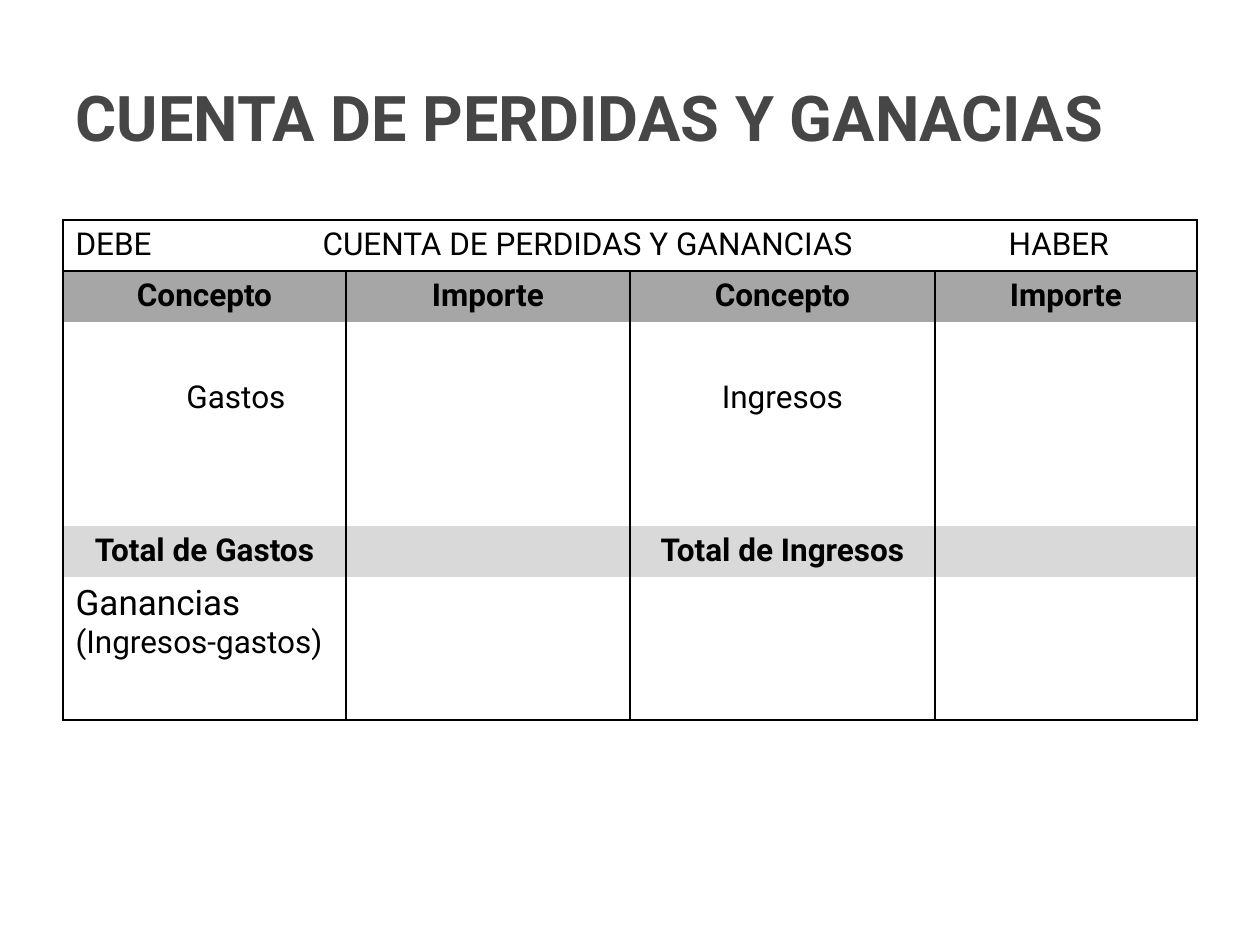
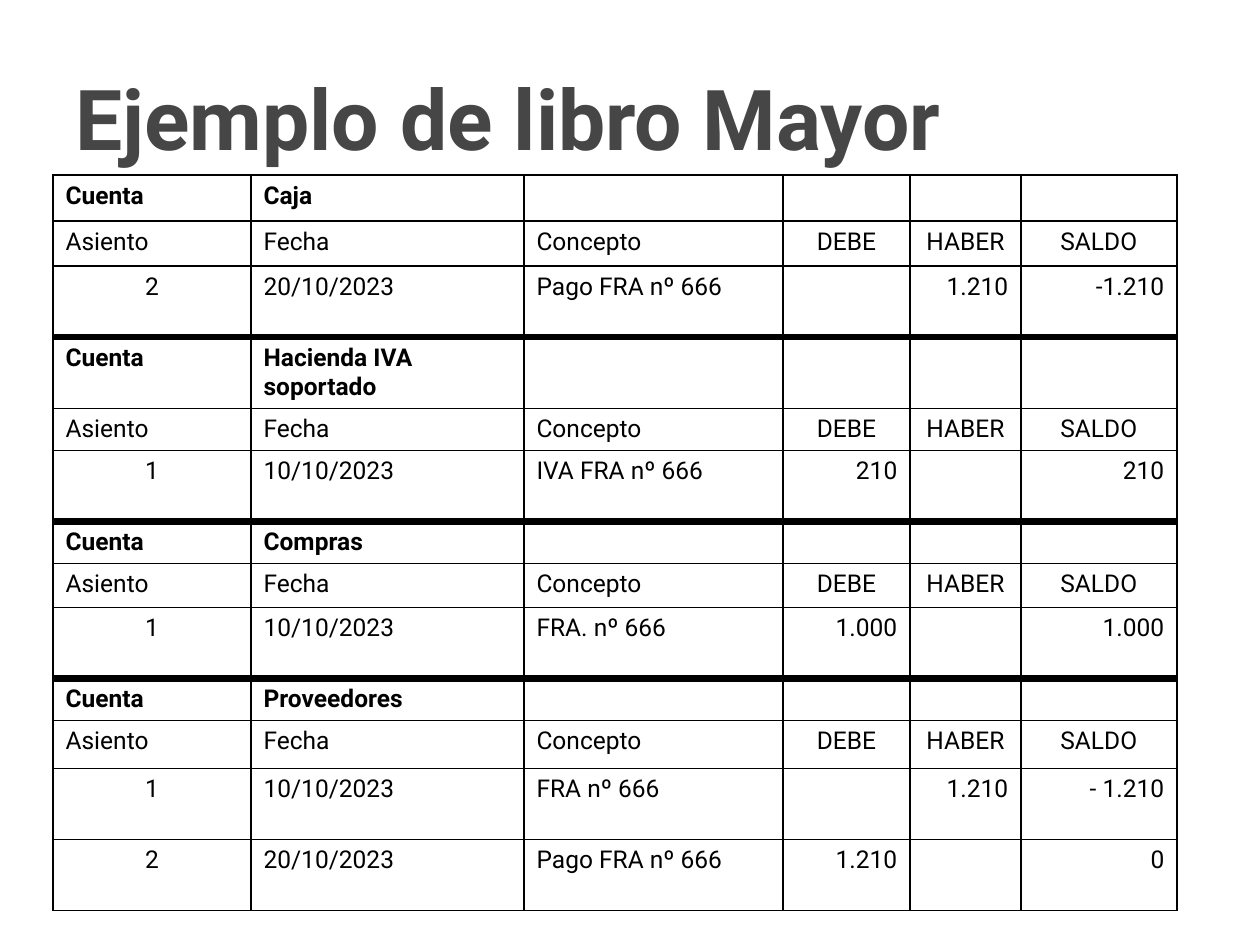
import dataclasses
import typing

import lxml.etree
import pptx
import pptx.dml.color
import pptx.enum.text
import pptx.oxml.ns
import pptx.util

PX = 914400 / 126  # EMU in one px
FONT = "Roboto"
COLORS = {
    "text": "000000",
    "title": "464646",
    "page": "FFFFFF",
    "header": "A6A6A6",
    "total": "D9D9D9",
}
ALIGN = pptx.enum.text.PP_ALIGN
SIDES = {"l": "a:lnL", "r": "a:lnR", "t": "a:lnT", "b": "a:lnB"}


@dataclasses.dataclass
class Line:
    """One paragraph of text."""
    text: str = ""
    size: int = 18
    bold: bool = False
    align: typing.Any = ALIGN.LEFT
    color: str = "text"
    indent: int = 0
    hanging: int = 0
    tabs: tuple[int, ...] = ()


@dataclasses.dataclass
class Cell:
    """One table cell; borders gives the line width in points by side."""
    lines: list[Line]
    borders: dict[str, float]
    fill: str = "page"


@dataclasses.dataclass
class Account:
    """One ledger account with its row heights and entries."""
    name: str
    heights: list[int]
    entries: list[list[str]]


def px(n: float) -> int:
    return round(n * PX)


def rgb(name: str) -> pptx.dml.color.RGBColor:
    return pptx.dml.color.RGBColor.from_string(COLORS[name])


def sub(parent: typing.Any, tag: str, **attrs: typing.Any) -> typing.Any:
    values = {k: str(v) for k, v in attrs.items()}
    return lxml.etree.SubElement(parent, pptx.oxml.ns.qn(tag), values)


def write(tf: typing.Any, lines: list[Line]) -> None:
    for i, line in enumerate(lines):
        p = tf.add_paragraph() if i else tf.paragraphs[0]
        p.alignment = line.align
        pPr = p._p.get_or_add_pPr()
        if line.indent:
            pPr.set("marL", str(px(line.indent)))
            pPr.set("indent", str(-px(line.hanging)))
        if line.tabs:
            tab_list = sub(pPr, "a:tabLst")
            for pos in line.tabs:
                sub(tab_list, "a:tab", pos=px(pos), algn="l")
        if not line.text:
            # Keeps an empty cell as low as its row
            end = sub(p._p, "a:endParaRPr", sz=line.size * 100)
            sub(end, "a:latin", typeface=FONT)
            continue
        r = p.add_run()
        r.text = line.text
        fmt = {"name": FONT, "size": pptx.util.Pt(line.size), "bold": line.bold}
        for key, value in fmt.items():
            setattr(r.font, key, value)
        r.font.color.rgb = rgb(line.color)


def add_title(s: typing.Any, text: str, size: int) -> None:
    sp = s.shapes.add_textbox(px(63), px(38), px(1134), px(157))
    tf = sp.text_frame
    fmt = {"word_wrap": True, "vertical_anchor": pptx.enum.text.MSO_ANCHOR.MIDDLE}
    for key, value in fmt.items():
        setattr(tf, key, value)
    write(tf, [Line(text, size, True, color="title", indent=48, hanging=48)])


def set_borders(cell: typing.Any, borders: dict[str, float]) -> None:
    tcPr = cell._tc.get_or_add_tcPr()
    for side, tag in SIDES.items():
        width = borders.get(side, 0)
        ln = sub(tcPr, tag, w=pptx.util.Pt(width))
        if width:
            sub(sub(ln, "a:solidFill"), "a:srgbClr", val=COLORS["text"])
        else:
            sub(ln, "a:noFill")


def add_grid(s: typing.Any, left: int, top: int, widths: list[int],
             heights: list[int], grid: list[list[Cell]]) -> typing.Any:
    frame = s.shapes.add_table(len(heights), len(widths), px(left), px(top),
                               px(sum(widths)), px(sum(heights)))
    tbl = frame.table
    for key in ("first_row", "horz_banding"):
        setattr(tbl, key, False)
    for col, w in zip(tbl.columns, widths):
        col.width = px(w)
    for row, h in zip(tbl.rows, heights):
        row.height = px(h)
    for i, items in enumerate(grid):
        for j, item in enumerate(items):
            cell = tbl.cell(i, j)
            write(cell.text_frame, item.lines)
            set_borders(cell, item.borders)
            cell.fill.solid()
            cell.fill.fore_color.rgb = rgb(item.fill)
    return tbl


def profit_and_loss(s: typing.Any) -> None:
    center = ALIGN.CENTER
    widths = [283, 284, 305, 262]
    heights = [51] * 7 + [92, 51]
    last = len(heights) - 1
    banner = "DEBE\tCUENTA DE PERDIDAS Y GANANCIAS\tHABER"
    texts = {
        (0, 0): [Line(banner, tabs=(247, 933))],
        (3, 0): [Line("Gastos", align=center, indent=63)],
        (3, 2): [Line("Ingresos", align=center)],
        (6, 0): [Line("Total de Gastos", bold=True, align=center)],
        (6, 2): [Line("Total de Ingresos", bold=True, align=center)],
        (7, 0): [Line("Ganancias", 20), Line("(Ingresos-gastos)")],
    }
    for j, text in enumerate(["Concepto", "Importe"] * 2):
        texts[1, j] = [Line(text, bold=True, align=center)]
    fills = {1: "header", 6: "total"}
    edges = {0: "lrtb", 1: "lrt", last: "lrb"}
    grid = [[Cell(texts.get((i, j), [Line()]),
                  dict.fromkeys(edges.get(i, "lr"), 1),
                  fills.get(i, "page"))
             for j in range(len(widths))] for i in range(len(heights))]
    tbl = add_grid(s, 63, 220, widths, heights, grid)
    tbl.cell(0, 0).merge(tbl.cell(0, len(widths) - 1))
    add_title(s, "CUENTA DE PERDIDAS Y GANACIAS", 36)


ACCOUNTS = [
    Account("Caja", [46, 45, 71],
            [["2", "20/10/2023", "Pago FRA nº 666", "", "1.210", "-1.210"]]),
    Account("Hacienda IVA soportado", [71, 41, 71],
            [["1", "10/10/2023", "IVA FRA nº 666", "210", "", "210"]]),
    Account("Compras", [41, 44, 71],
            [["1", "10/10/2023", "FRA. nº 666", "1.000", "", "1.000"]]),
    Account("Proveedores", [42, 48, 71, 71],
            [["1", "10/10/2023", "FRA nº 666", "", "1.210", "- 1.210"],
             ["2", "20/10/2023", "Pago FRA nº 666", "1.210", "", "0"]]),
]
LEDGER_HEAD = ["Asiento", "Fecha", "Concepto", "DEBE", "HABER", "SALDO"]
HEAD_ALIGN = [ALIGN.LEFT] * 3 + [ALIGN.CENTER] * 3
ENTRY_ALIGN = [ALIGN.CENTER] + [ALIGN.LEFT] * 2 + [ALIGN.RIGHT] * 3


def ledger(s: typing.Any) -> None:
    add_title(s, "Ejemplo de libro Mayor", 48)
    widths = [198, 273, 259, 127, 111, 156]
    heights, grid = [], []
    for account in ACCOUNTS:
        rows = [["Cuenta", account.name] + [""] * 4, LEDGER_HEAD, *account.entries]
        for i, row in enumerate(rows):
            borders = dict.fromkeys(SIDES, 1)
            # Thick rule between accounts
            if i == 0 and account is not ACCOUNTS[0]:
                borders["t"] = 4.5
            if i == len(rows) - 1 and account is not ACCOUNTS[-1]:
                borders["b"] = 4.5
            aligns = HEAD_ALIGN if i < 2 else ENTRY_ALIGN
            grid.append([Cell([Line(text, 14, i == 0, align)], borders)
                         for text, align in zip(row, aligns)])
        heights += account.heights
    add_grid(s, 53, 175, widths, heights, grid)


def main() -> None:
    prs = pptx.Presentation()
    prs.slide_width, prs.slide_height = px(1260), px(945)
    for build in (profit_and_loss, ledger):
        build(prs.slides.add_slide(prs.slide_layouts[6]))
    prs.save("out.pptx")


if __name__ == "__main__":
    main()
